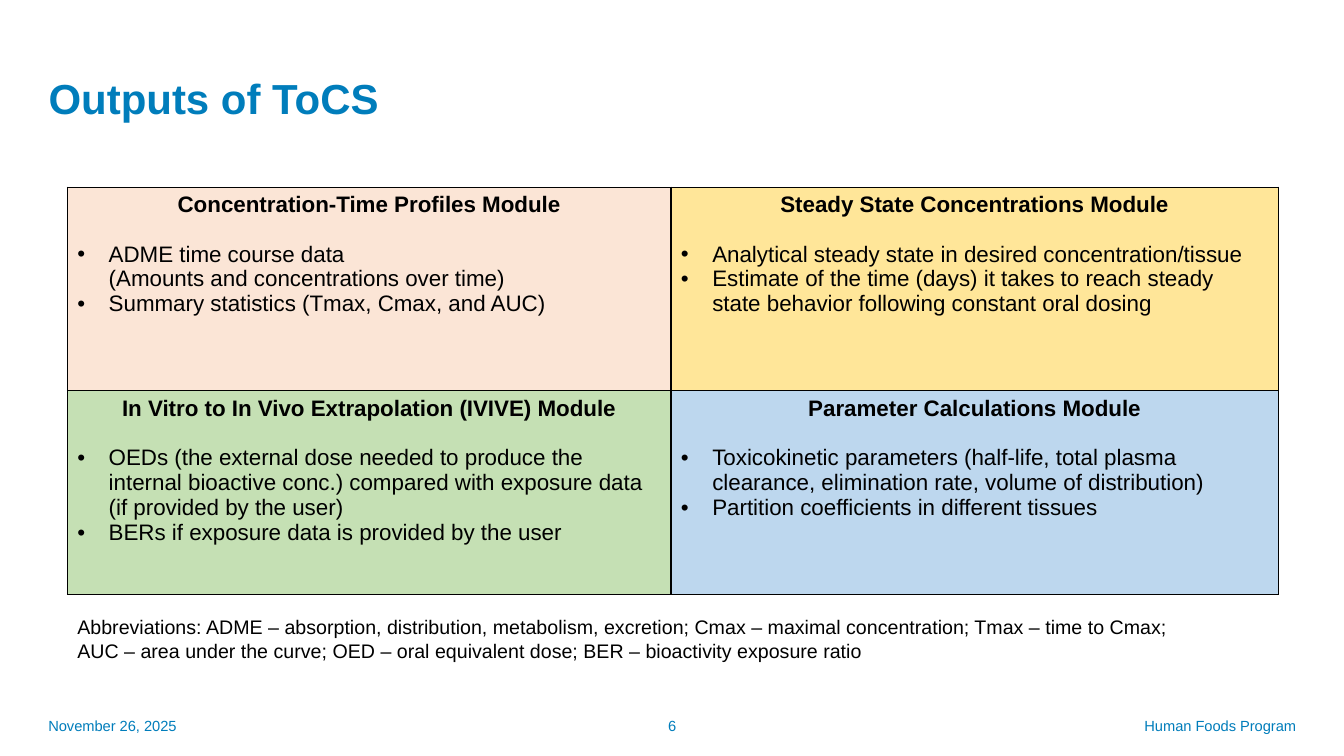
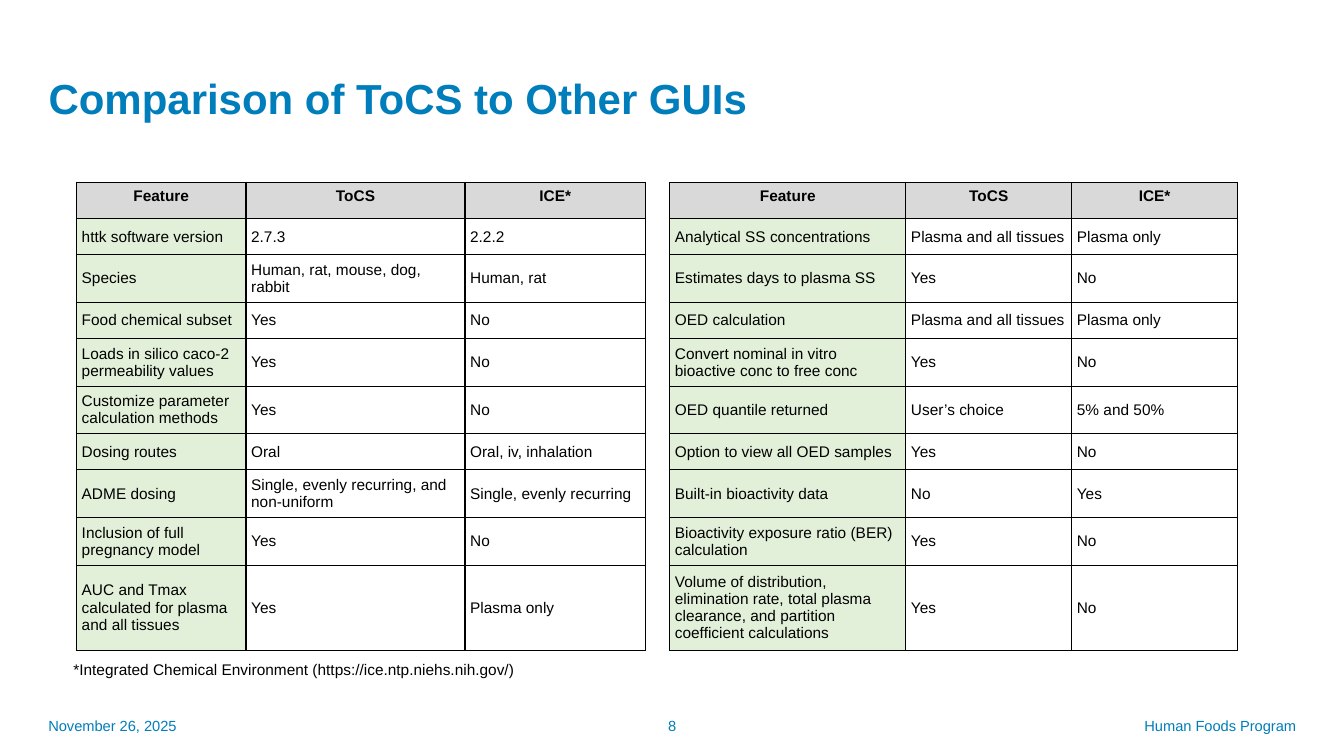
from dataclasses import dataclass

from lxml.etree import SubElement
from pptx import Presentation
from pptx.dml.color import RGBColor
from pptx.enum.text import MSO_ANCHOR, MSO_AUTO_SIZE, PP_ALIGN
from pptx.oxml.ns import qn
from pptx.util import Cm, Pt


@dataclass(frozen=True)
class Theme:
    """Colours, font and type sizes of the deck."""
    font: str = "Arial"
    accent: str = "007DBB"
    ink: str = "000000"
    paper: str = "FFFFFF"
    header: str = "D9D9D9"
    feature: str = "E2F0D9"
    peach: str = "FBE5D6"
    yellow: str = "FFE699"
    green: str = "C5E0B4"
    blue: str = "BDD7EE"
    title_size: float = 30
    module_size: float = 16
    note_size: float = 14
    grid_size: float = 11
    footer_size: float = 10.5
    border: float = 1


THEME = Theme()
DATE = "November 26, 2025"
PROGRAM = "Human Foods Program"

MODULES = [
    [("Concentration-Time Profiles Module", THEME.peach,
      ["ADME time course data\n(Amounts and concentrations over time)",
       "Summary statistics (Tmax, Cmax, and AUC)"]),
     ("Steady State Concentrations Module", THEME.yellow,
      ["Analytical steady state in desired concentration/tissue",
       "Estimate of the time (days) it takes to reach steady state behavior "
       "following constant oral dosing"])],
    [("In Vitro to In Vivo Extrapolation (IVIVE) Module", THEME.green,
      ["OEDs (the external dose needed to produce the internal bioactive conc.) "
       "compared with exposure data (if provided by the user)",
       "BERs if exposure data is provided by the user"]),
     ("Parameter Calculations Module", THEME.blue,
      ["Toxicokinetic parameters (half-life, total plasma clearance, "
       "elimination rate, volume of distribution)",
       "Partition coefficients in different tissues"])],
]
ABBREVIATIONS = (
    "Abbreviations: ADME – absorption, distribution, metabolism, excretion; "
    "Cmax – maximal concentration; Tmax – time to Cmax;\n"
    "AUC – area under the curve; OED – oral equivalent dose; "
    "BER – bioactivity exposure ratio")

HEADINGS = ("Feature", "ToCS", "ICE*")
GENERAL_FEATURES = [
    HEADINGS,
    ("httk software version", "2.7.3", "2.2.2"),
    ("Species", "Human, rat, mouse, dog, rabbit", "Human, rat"),
    ("Food chemical subset", "Yes", "No"),
    ("Loads in silico caco-2 permeability values", "Yes", "No"),
    ("Customize parameter calculation methods", "Yes", "No"),
    ("Dosing routes", "Oral", "Oral, iv, inhalation"),
    ("ADME dosing", "Single, evenly recurring, and non-uniform",
     "Single, evenly recurring"),
    ("Inclusion of full pregnancy model", "Yes", "No"),
    ("AUC and Tmax calculated for plasma and all tissues", "Yes", "Plasma only"),
]
OUTPUT_FEATURES = [
    HEADINGS,
    ("Analytical SS concentrations", "Plasma and all tissues", "Plasma only"),
    ("Estimates days to plasma SS", "Yes", "No"),
    ("OED calculation", "Plasma and all tissues", "Plasma only"),
    ("Convert nominal in vitro bioactive conc to free conc", "Yes", "No"),
    ("OED quantile returned", "User’s choice", "5% and 50%"),
    ("Option to view all OED samples", "Yes", "No"),
    ("Built-in bioactivity data", "No", "Yes"),
    ("Bioactivity exposure ratio (BER) calculation", "Yes", "No"),
    ("Volume of distribution, elimination rate, total plasma clearance, "
     "and partition coefficient calculations", "Yes", "No"),
]
ICE_NOTE = "*Integrated Chemical Environment (https://ice.ntp.niehs.nih.gov/)"


def write(para, text, size, color=THEME.ink, bold=False, align=PP_ALIGN.LEFT):
    """Add text to a paragraph, one run per line."""
    para.alignment = align
    for number, line in enumerate(text.split("\n")):
        if number:
            para.add_line_break()
        span = para.add_run()
        span.text = line
        span.font.name = THEME.font
        span.font.size = Pt(size)
        span.font.bold = bold
        span.font.color.rgb = RGBColor.from_string(color)


def add_text(page, box, text, size, color=THEME.ink, align=PP_ALIGN.LEFT,
             anchor=MSO_ANCHOR.TOP):
    """Place a wrapped text box."""
    frame = page.shapes.add_textbox(*map(Cm, box)).text_frame
    frame.word_wrap = True
    frame.vertical_anchor = anchor
    write(frame.paragraphs[0], text, size, color, align=align)


def add_page(deck, title, number):
    """Add a slide with its title and footer band."""
    page = deck.slides.add_slide(deck.slide_layouts[5])
    heading = page.shapes.title
    heading.left, heading.top, heading.width, heading.height = map(
        Cm, (0.97, 1.85, 29.21, 1.52))
    frame = heading.text_frame
    frame.auto_size = MSO_AUTO_SIZE.NONE
    frame.vertical_anchor = MSO_ANCHOR.TOP
    para = frame.paragraphs[0]
    para.line_spacing = 0.9
    write(para, title, THEME.title_size, THEME.accent, bold=True)
    add_footer(page, (0.97, 17.78, 31.95, 1.02), number)
    return page


def add_footer(page, box, number):
    """Place date, page number and program name along a band."""
    left, top, width, height = box
    parts = [
        (left, 7.62, DATE, PP_ALIGN.LEFT),
        (left + 12.16, 7.62, str(number), PP_ALIGN.CENTER),
        (left + width - 11.43, 11.43, PROGRAM, PP_ALIGN.RIGHT),
    ]
    for part_left, part_width, text, align in parts:
        add_text(page, (part_left, top, part_width, height), text,
                 THEME.footer_size, THEME.accent, align, MSO_ANCHOR.MIDDLE)


def add_grid(page, corner, widths, heights):
    """Place a plain table with the given column widths and row heights."""
    box = (*corner, sum(widths), sum(heights))
    table = page.shapes.add_table(len(heights), len(widths), *map(Cm, box)).table
    table.first_row = table.horz_banding = False
    for column, width in zip(table.columns, widths):
        column.width = Cm(width)
    for row, height in zip(table.rows, heights):
        row.height = Cm(height)
    return table


def style_cell(cell, fill, margin=0.25, upright_margin=0.13, sides="LRTB"):
    """Set a cell's borders, fill and margins."""
    properties = cell._tc.get_or_add_tcPr()
    for side in "LRTB":
        line = SubElement(properties, qn("a:ln" + side), w=str(Pt(THEME.border)))
        if side in sides:
            paint = SubElement(line, qn("a:solidFill"))
            SubElement(paint, qn("a:srgbClr"), val=THEME.ink)
        else:
            SubElement(line, qn("a:noFill"))
    cell.fill.solid()
    cell.fill.fore_color.rgb = RGBColor.from_string(fill)
    cell.margin_left = cell.margin_right = Cm(margin)
    cell.margin_top = cell.margin_bottom = Cm(upright_margin)


def add_bullet(para, indent):
    """Give a paragraph a hanging round bullet."""
    properties = para._p.get_or_add_pPr()
    properties.set("marL", str(Cm(indent)))
    properties.set("indent", str(-Cm(indent)))
    SubElement(properties, qn("a:buFont"), typeface=THEME.font)
    SubElement(properties, qn("a:buChar"), char="•")


def fill_module(cell, name, fill, outputs):
    """Write a module's name and its bulleted outputs in a cell."""
    style_cell(cell, fill)
    para = cell.text_frame.paragraphs[0]
    para.space_after = Pt(17.5)
    write(para, name, THEME.module_size, bold=True, align=PP_ALIGN.CENTER)
    for output in outputs:
        para = cell.text_frame.add_paragraph()
        add_bullet(para, 0.79)
        write(para, output, THEME.module_size)


def fill_features(table, first_column, rows):
    """Write a block of feature rows from a given column on."""
    for row_number, row in enumerate(rows):
        is_header = row_number == 0
        for offset, text in enumerate(row):
            cell = table.cell(row_number, first_column + offset)
            body_fill = THEME.paper if offset else THEME.feature
            style_cell(cell, THEME.header if is_header else body_fill, 0.13)
            cell.vertical_anchor = MSO_ANCHOR.TOP if is_header else MSO_ANCHOR.MIDDLE
            write(cell.text_frame.paragraphs[0], text, THEME.grid_size, bold=is_header,
                  align=PP_ALIGN.CENTER if is_header else PP_ALIGN.LEFT)


def build_outputs(deck):
    """Build the slide of module outputs."""
    page = add_page(deck, "Outputs of ToCS", 6)
    table = add_grid(page, (1.7, 4.72), (15.21, 15.3), (5.13, 5.13))
    for row_number, row in enumerate(MODULES):
        for column_number, module in enumerate(row):
            fill_module(table.cell(row_number, column_number), *module)
    add_text(page, (1.7, 15.37, 30.53, 1.45), ABBREVIATIONS, THEME.note_size)


def build_comparison(deck):
    """Build the slide that compares the interfaces."""
    page = add_page(deck, "Comparison of ToCS to Other GUIs", 8)
    short, medium, tall = 0.91, 1.2, 2.15
    heights = (short, short, medium, short, medium, medium, short, medium, medium, tall)
    widths = (4.27, 5.52, 4.55, 0.61, 5.95, 4.18, 4.18)
    table = add_grid(page, (1.93, 4.6), widths, heights)
    gap_column = len(HEADINGS)
    fill_features(table, 0, GENERAL_FEATURES)
    fill_features(table, gap_column + 1, OUTPUT_FEATURES)
    for row_number in range(len(heights)):
        style_cell(table.cell(row_number, gap_column), THEME.paper, 0, 0, sides="LR")
    add_text(page, (1.6, 16.51, 14, 0.74), ICE_NOTE, THEME.grid_size)


def main():
    """Build and save the deck."""
    deck = Presentation()
    deck.slide_width, deck.slide_height = Cm(33.87), Cm(19.05)
    build_outputs(deck)
    build_comparison(deck)
    deck.save("out.pptx")


if __name__ == "__main__":
    main()
